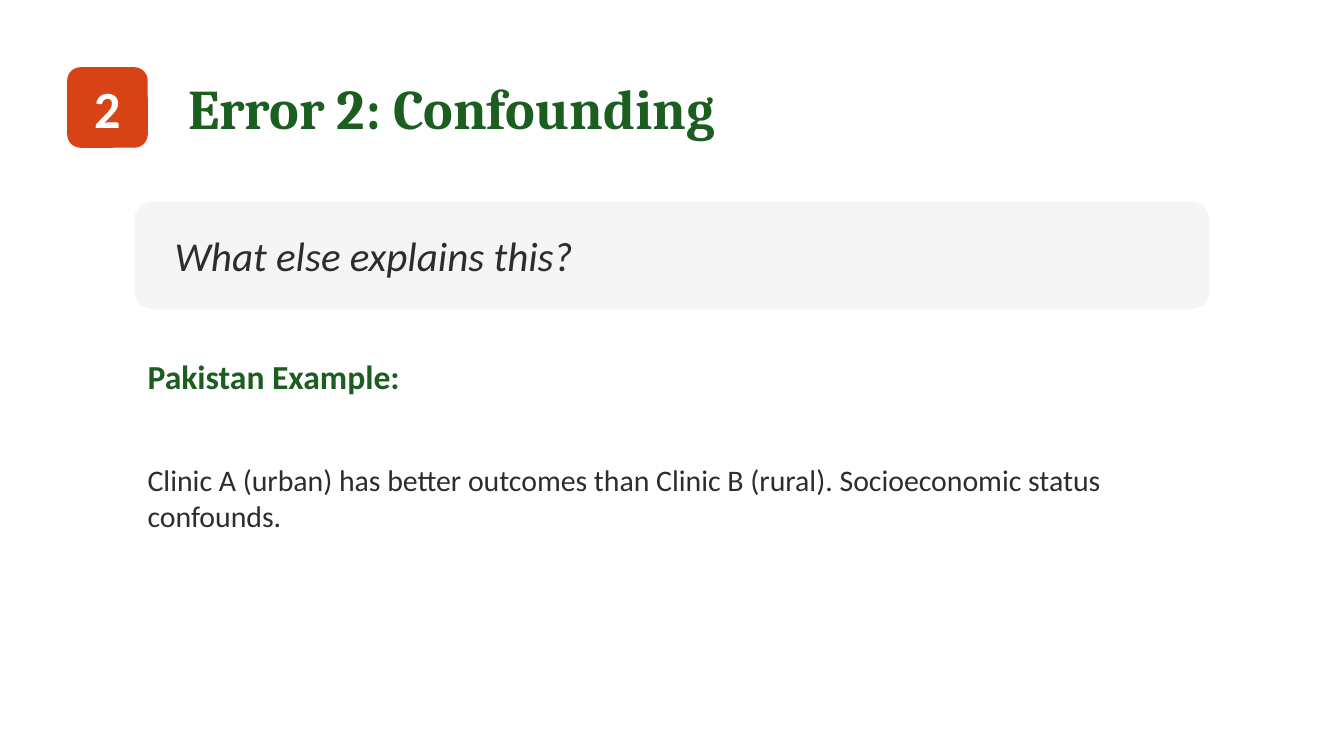
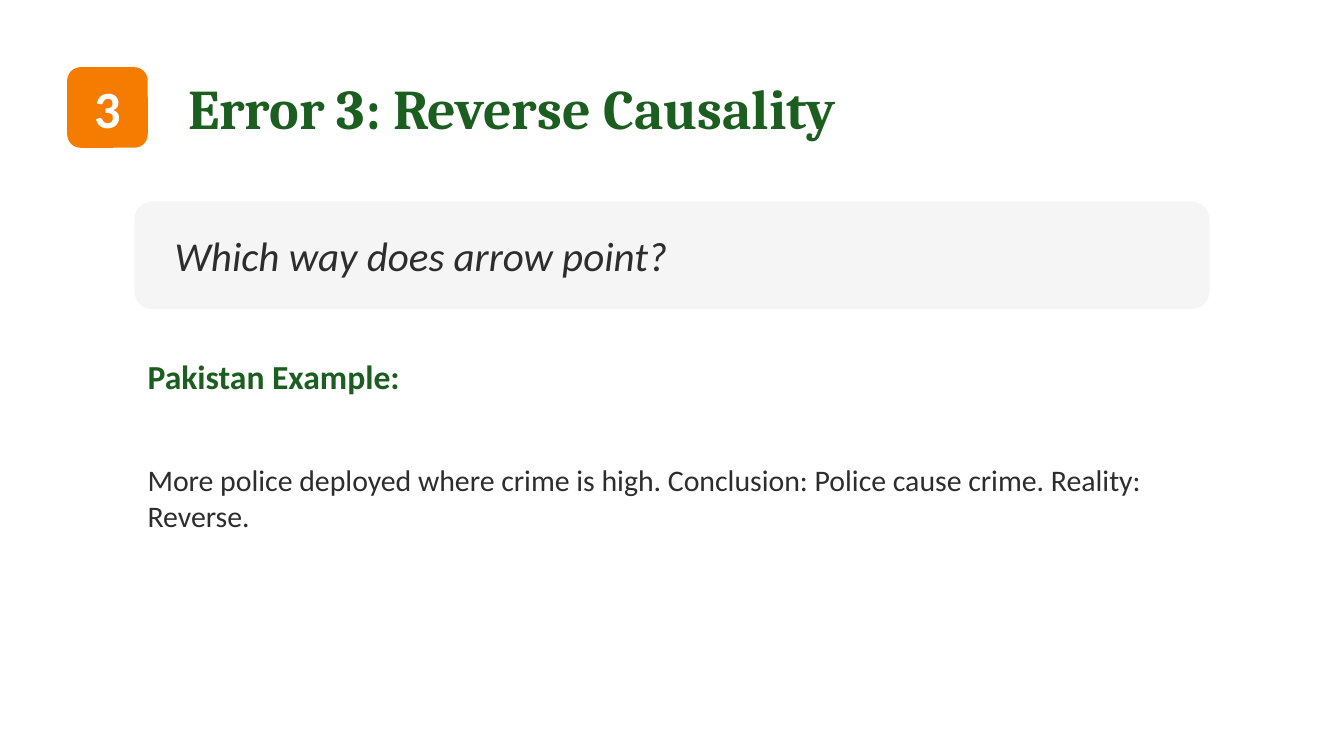
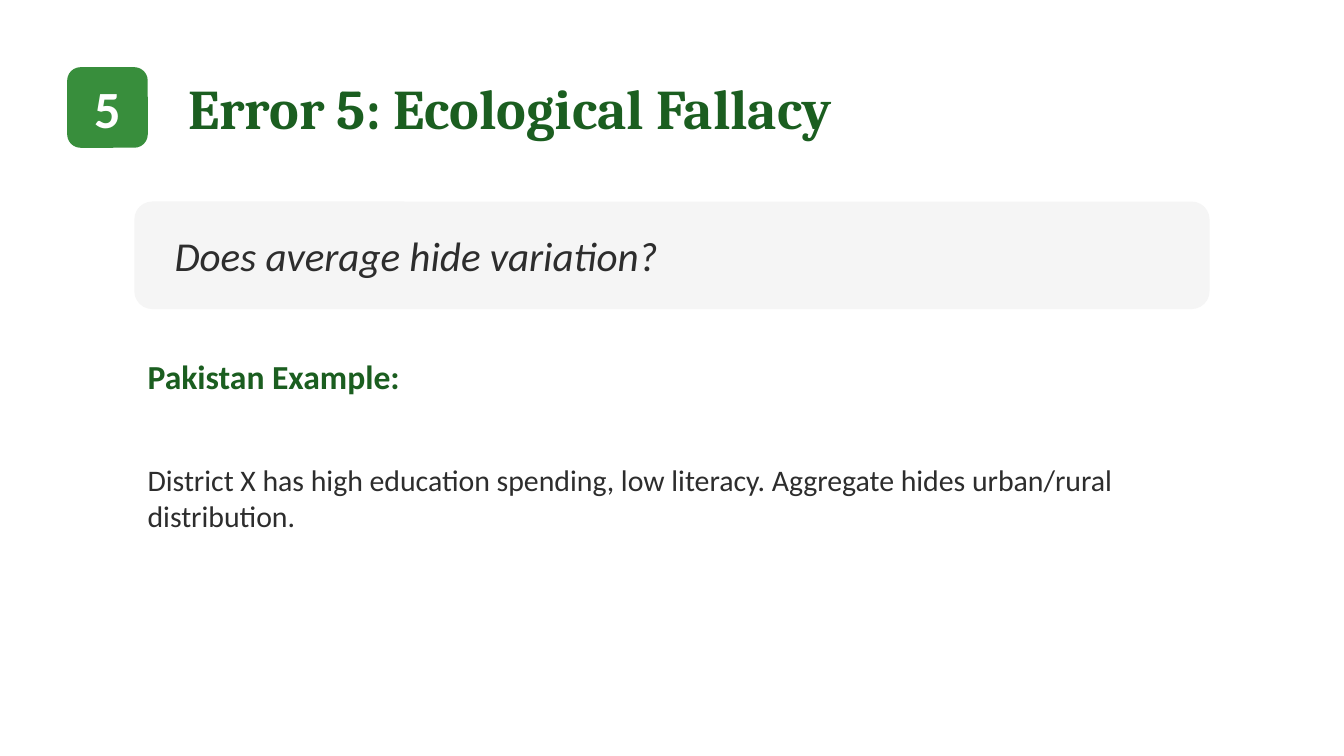
from dataclasses import dataclass

from pptx import Presentation
from pptx.dml.color import RGBColor
from pptx.enum.shapes import MSO_SHAPE as Preset
from pptx.enum.text import MSO_ANCHOR as Anchor, MSO_AUTO_SIZE as AutoSize, PP_ALIGN as Align
from pptx.shapes.autoshape import Shape
from pptx.slide import Slide
from pptx.util import Inches, Pt

GREEN = "1B5E20"
INK = "2D2D2D"
PANEL = "F5F5F5"
WHITE = "FFFFFF"
BODY_FONT = "Calibri"
TITLE_FONT = "Cambria"
TITLE_ONLY = 5
SLIDE_WIDTH = 10
SLIDE_HEIGHT = SLIDE_WIDTH * 9 / 16


@dataclass(frozen=True)
class Box:
    left: float
    top: float
    width: float
    height: float

    def lengths(self) -> tuple[int, int, int, int]:
        return Inches(self.left), Inches(self.top), Inches(self.width), Inches(self.height)


@dataclass(frozen=True)
class TextStyle:
    size: int
    color: str
    font: str = BODY_FONT
    bold: bool = False
    italic: bool = False
    align: Align = Align.LEFT
    side_inset: float = 0.1


@dataclass(frozen=True)
class ErrorType:
    number: int
    name: str
    accent: str
    question: str
    example: str


BADGE_BOX = Box(0.5, 0.5, 0.6, 0.6)
TITLE_BOX = Box(1.3, 0.5, 7, 0.6)
QUESTION_BOX = Box(1, 1.5, 8, 0.8)
HEADING_BOX = Box(1, 2.6, 8, 0.4)
EXAMPLE_BOX = Box(1, 3.1, 8, 1.2)

BADGE_STYLE = TextStyle(28, WHITE, bold=True, align=Align.CENTER, side_inset=0)
TITLE_STYLE = TextStyle(30, GREEN, font=TITLE_FONT, bold=True)
QUESTION_STYLE = TextStyle(22, INK, italic=True, side_inset=0.26)
HEADING_STYLE = TextStyle(18, GREEN, bold=True)
EXAMPLE_STYLE = TextStyle(16, INK)

ERROR_TYPES = [
    ErrorType(
        2, "Confounding", "D84315", "What else explains this?",
        "Clinic A (urban) has better outcomes than Clinic B (rural). "
        "Socioeconomic status confounds.",
    ),
    ErrorType(
        3, "Reverse Causality", "F57C00", "Which way does arrow point?",
        "More police deployed where crime is high. "
        "Conclusion: Police cause crime. Reality: Reverse.",
    ),
    ErrorType(
        5, "Ecological Fallacy", "388E3C", "Does average hide variation?",
        "District X has high education spending, low literacy. "
        "Aggregate hides urban/rural distribution.",
    ),
]


def rgb(color: str) -> RGBColor:
    return RGBColor.from_string(color)


def write_text(shape: Shape, text: str, style: TextStyle) -> None:
    frame = shape.text_frame
    frame.text = text
    frame.word_wrap = True
    frame.auto_size = AutoSize.NONE
    frame.vertical_anchor = Anchor.MIDDLE
    frame.margin_left = frame.margin_right = Inches(style.side_inset)
    paragraph = frame.paragraphs[0]
    paragraph.alignment = style.align
    font = paragraph.font
    font.name = style.font
    font.size = Pt(style.size)
    font.bold = style.bold
    font.italic = style.italic
    font.color.rgb = rgb(style.color)


def set_title(slide: Slide, text: str) -> None:
    title = slide.shapes.title
    title.left, title.top, title.width, title.height = TITLE_BOX.lengths()
    write_text(title, text, TITLE_STYLE)


def add_panel(slide: Slide, box: Box, fill: str, text: str, style: TextStyle) -> None:
    panel = slide.shapes.add_shape(Preset.ROUNDED_RECTANGLE, *box.lengths())
    panel.shadow.inherit = False
    panel.fill.solid()
    panel.fill.fore_color.rgb = rgb(fill)
    panel.line.fill.background()
    write_text(panel, text, style)


def add_text(slide: Slide, box: Box, text: str, style: TextStyle) -> None:
    write_text(slide.shapes.add_textbox(*box.lengths()), text, style)


def add_error_slide(presentation: Presentation, error: ErrorType) -> None:
    slide = presentation.slides.add_slide(presentation.slide_layouts[TITLE_ONLY])
    set_title(slide, f"Error {error.number}: {error.name}")
    add_panel(slide, BADGE_BOX, error.accent, str(error.number), BADGE_STYLE)
    add_panel(slide, QUESTION_BOX, PANEL, error.question, QUESTION_STYLE)
    add_text(slide, HEADING_BOX, "Pakistan Example:", HEADING_STYLE)
    add_text(slide, EXAMPLE_BOX, error.example, EXAMPLE_STYLE)


def main() -> None:
    presentation = Presentation()
    presentation.slide_width = Inches(SLIDE_WIDTH)
    presentation.slide_height = Inches(SLIDE_HEIGHT)
    background = presentation.slide_master.background.fill
    background.solid()
    background.fore_color.rgb = rgb(WHITE)
    for error in ERROR_TYPES:
        add_error_slide(presentation, error)
    presentation.save("out.pptx")


if __name__ == "__main__":
    main()
